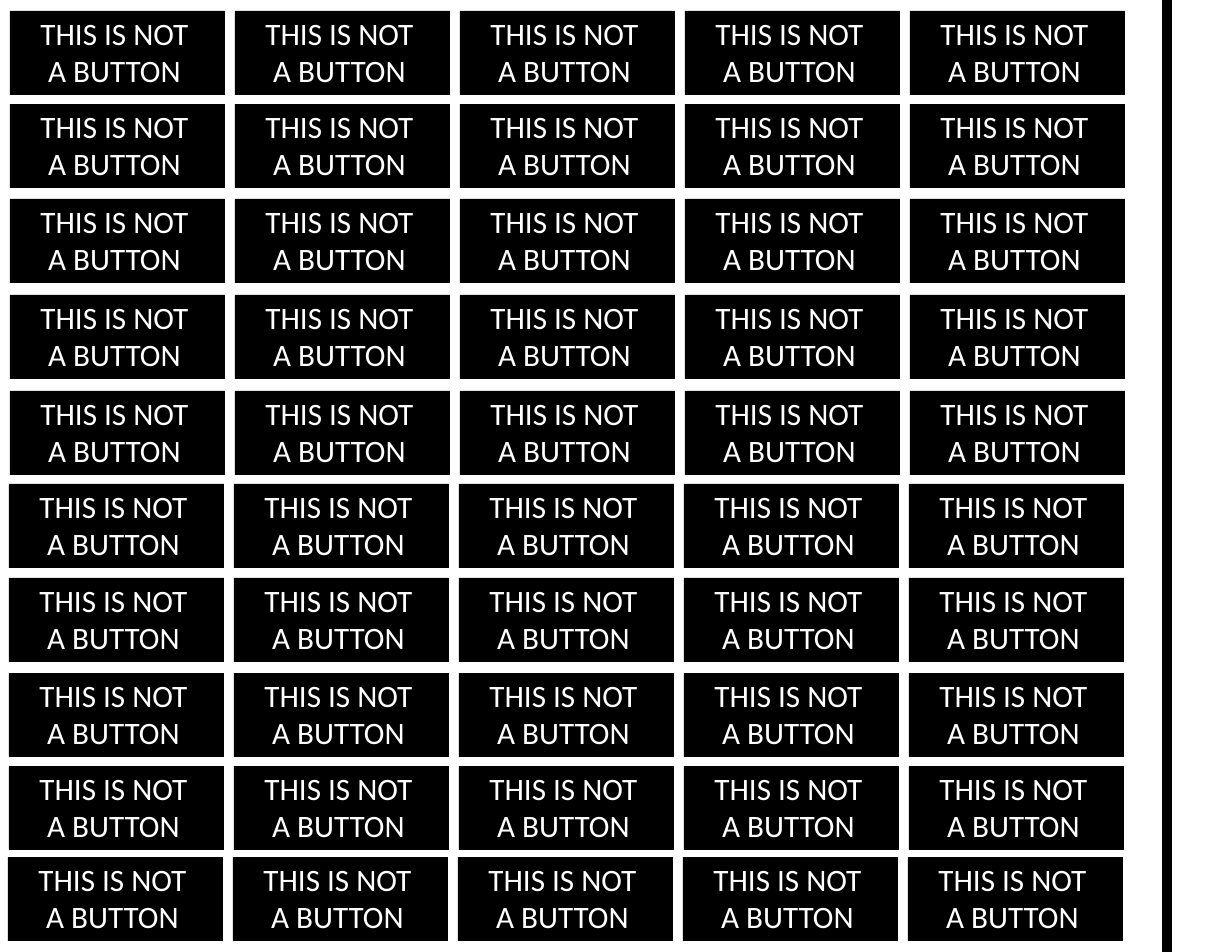
import pptx
import pptx.util
import pptx.dml.color
import pptx.enum.shapes
import pptx.enum.text
import pptx.oxml

BLACK = pptx.dml.color.RGBColor(0x00, 0x00, 0x00)
WHITE = pptx.dml.color.RGBColor(0xFF, 0xFF, 0xFF)


def px(length):
    return pptx.util.Emu(round(length * 914400 / 112))


sheet = pptx.Presentation()
sheet.slide_width, sheet.slide_height = px(1232), px(952)
slide = sheet.slides.add_slide(sheet.slide_layouts[6])

# Grid of labels: five even columns, each row drifting slightly left
LABEL_WIDTH, LABEL_HEIGHT = 215, 84
COLUMN_PITCH = 225
ROW_TOPS = [11, 104, 199, 295, 391, 484, 578, 673, 766, 857]

for column in range(5):
    for row, top in enumerate(ROW_TOPS):
        left = 10 + column * COLUMN_PITCH - row * 2 // 9

        # Black plate
        plate = slide.shapes.add_shape(
            pptx.enum.shapes.MSO_SHAPE.RECTANGLE,
            px(left), px(top), px(LABEL_WIDTH), px(LABEL_HEIGHT))
        plate.shadow.inherit = False
        plate.fill.solid()
        plate.fill.fore_color.rgb = BLACK
        plate.line.fill.background()

        # Wording
        wording = slide.shapes.add_textbox(
            px(left + 12), px(top - 2), px(185), px(86)).text_frame
        wording.word_wrap = False
        wording.auto_size = pptx.enum.text.MSO_AUTO_SIZE.SHAPE_TO_FIT_TEXT
        wording.text = "THIS IS NOT\nA BUTTON"
        for paragraph in wording.paragraphs:
            paragraph.alignment = pptx.enum.text.PP_ALIGN.CENTER
            for run in paragraph.runs:
                run.font.name = "Calibri"
                run.font.size = pptx.util.Pt(20)
                run.font.color.rgb = WHITE

# Vertical rule at the right
rule = slide.shapes.add_connector(
    pptx.enum.shapes.MSO_CONNECTOR.STRAIGHT, px(1167), px(0), px(1167), px(952))
rule.line.color.rgb = BLACK
rule.line.width = pptx.util.Pt(6.5)
rule.element.spPr.append(pptx.oxml.parse_xml(
    '<a:effectLst xmlns:a="http://schemas.openxmlformats.org/drawingml/2006/main"/>'))

sheet.save("out.pptx")
